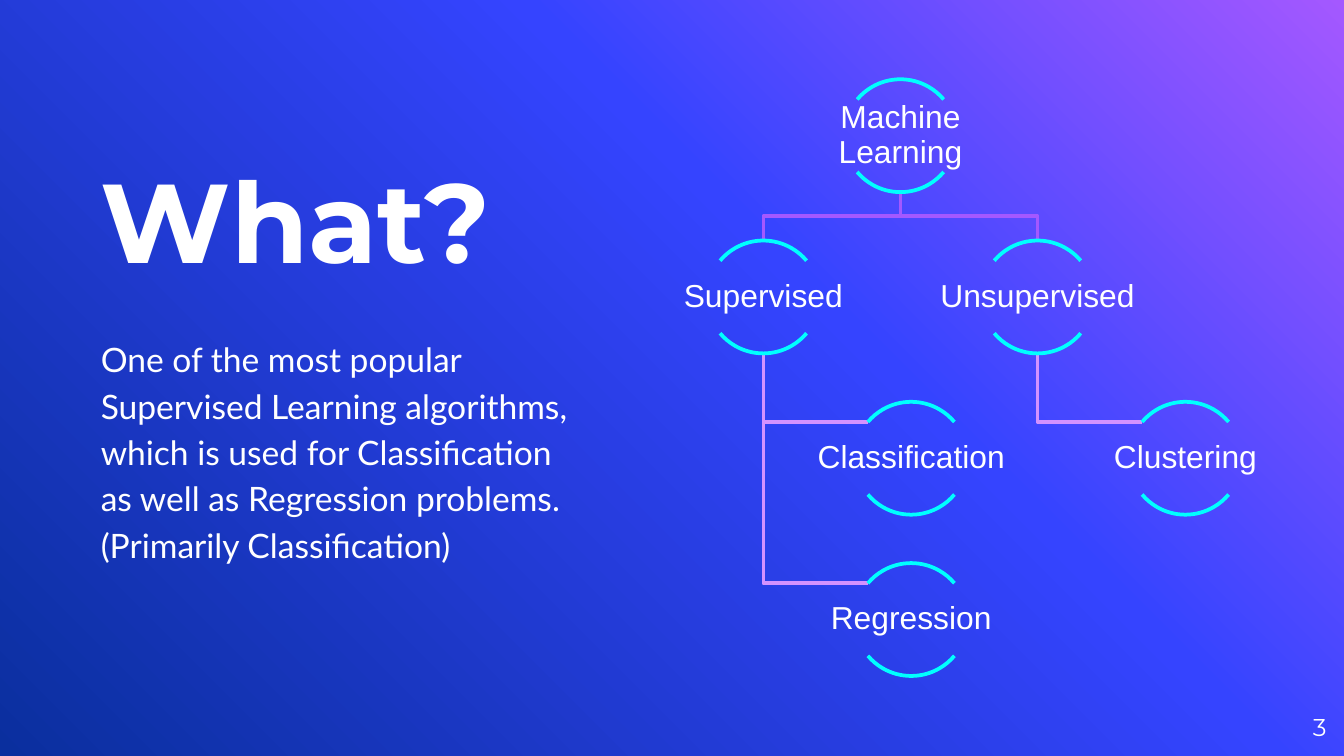
from copy import deepcopy

from pptx import Presentation
from pptx.dml.color import RGBColor
from pptx.enum import shapes, text
from pptx.oxml.ns import qn
from pptx.util import Inches, Pt

WHITE = RGBColor(0xFF, 0xFF, 0xFF)
CYAN = RGBColor(0x00, 0xFF, 0xFF)
PURPLE = RGBColor(0xA4, 0x58, 0xFF)
LILAC = RGBColor(0xD3, 0x92, 0xFF)
BLUE = RGBColor(0x35, 0x44, 0xFF)
NAVY = RGBColor(0x0A, 0x2F, 0x9E)


def write(box, words, font, margin=0, anchor=text.MSO_ANCHOR.TOP, **paragraph_format):
    frame = box.text_frame
    frame_format = {"word_wrap": True, "auto_size": text.MSO_AUTO_SIZE.NONE,
                    "vertical_anchor": anchor}
    for side in ("left", "top", "right", "bottom"):
        frame_format["margin_" + side] = Inches(margin)
    for name, value in frame_format.items():
        setattr(frame, name, value)
    para = frame.paragraphs[0]
    for name, value in paragraph_format.items():
        setattr(para, name, value)
    span = para.add_run()
    span.text = words
    span.font.color.rgb = WHITE
    for name, value in font.items():
        setattr(span.font, name, value)


def outline(shape, color):
    shape.shadow.inherit = False
    shape.fill.background()
    shape.line.color.rgb = color
    shape.line.width = Pt(2)


deck = Presentation()
deck.slide_width = Inches(10)
deck.slide_height = deck.slide_width * 9 // 16
page = deck.slides.add_slide(deck.slide_layouts[0])

# Background: three-stop diagonal gradient
fill = page.background.fill
fill.gradient()
fill.gradient_angle = 225
stop_list = page.element.find(".//" + qn("a:gsLst"))
stop_list.append(deepcopy(stop_list[-1]))
for stop, (position, color) in zip(fill.gradient_stops,
                                   [(0, PURPLE), (0.39, BLUE), (1, NAVY)]):
    stop.position = position
    stop.color.rgb = color

# Title and body
title, body = page.placeholders
for box, top, height in [(title, 1.13, 2.17), (body, 2.48, 1.2)]:
    box.left, box.top = Inches(0.75), Inches(top)
    box.width, box.height = Inches(3.64), Inches(height)
write(title, "What?", {"size": Pt(60), "name": "Montserrat", "bold": True},
      alignment=text.PP_ALIGN.LEFT)
write(body, "One of the most popular Supervised Learning algorithms, which is used for "
      "Classification as well as Regression problems.(Primarily Classification)",
      {"size": Pt(18), "name": "Lato"}, alignment=text.PP_ALIGN.LEFT,
      line_spacing=1.15, space_before=Pt(6))

# Slide number
number = page.shapes.add_textbox(Inches(9.27), Inches(5.19), Inches(0.6), Inches(0.43))
write(number, "3", {"size": Pt(13), "name": "Montserrat"},
      anchor=text.MSO_ANCHOR.MIDDLE, alignment=text.PP_ALIGN.RIGHT)

# Tree: name -> (centre, row, parent)
DIAMETER, FIRST_TOP, ROW_STEP = 0.84, 0.59, 1.2
LABEL_WIDTH, LABEL_HEIGHT = 1.69, 0.54
nodes = {
    "Machine Learning": (6.7, 0, None),
    "Supervised": (5.68, 1, "Machine Learning"),
    "Unsupervised": (7.72, 1, "Machine Learning"),
    "Classification": (6.78, 2, "Supervised"),
    "Regression": (6.78, 3, "Supervised"),
    "Clustering": (8.82, 2, "Unsupervised"),
}
tree = page.shapes.add_group_shape().shapes

# Branches: forked below the root, hanging below its children
for center, row, parent in nodes.values():
    if parent is None:
        continue
    parent_center, parent_row, _ = nodes[parent]
    top = FIRST_TOP + row * ROW_STEP
    start = FIRST_TOP + parent_row * ROW_STEP + DIAMETER
    if parent_row == 0:
        color = PURPLE
        corners = [(parent_center, top - 0.18), (center, top - 0.18), (center, top)]
    else:
        color = LILAC
        corners = [(parent_center, top + 0.15), (center - 0.32, top + 0.15)]
    builder = tree.build_freeform(Inches(parent_center), Inches(start))
    builder.add_line_segments([(Inches(x), Inches(y)) for x, y in corners], close=False)
    outline(builder.convert_to_shape(), color)

# Nodes: an arc above and below each label
for name, (center, row, _) in nodes.items():
    top = FIRST_TOP + row * ROW_STEP
    for angles in [(132, 192), (24, 84)]:
        arc = tree.add_shape(shapes.MSO_SHAPE.ARC, Inches(center - DIAMETER / 2),
                             Inches(top), Inches(DIAMETER), Inches(DIAMETER))
        arc.adjustments[0], arc.adjustments[1] = angles
        outline(arc, CYAN)
    label = tree.add_textbox(Inches(center - LABEL_WIDTH / 2),
                             Inches(top + (DIAMETER - LABEL_HEIGHT) / 2),
                             Inches(LABEL_WIDTH), Inches(LABEL_HEIGHT))
    write(label, name, {"size": Pt(17), "name": "Arial"}, margin=0.01,
          anchor=text.MSO_ANCHOR.MIDDLE, alignment=text.PP_ALIGN.CENTER, line_spacing=0.9)

deck.save("out.pptx")
